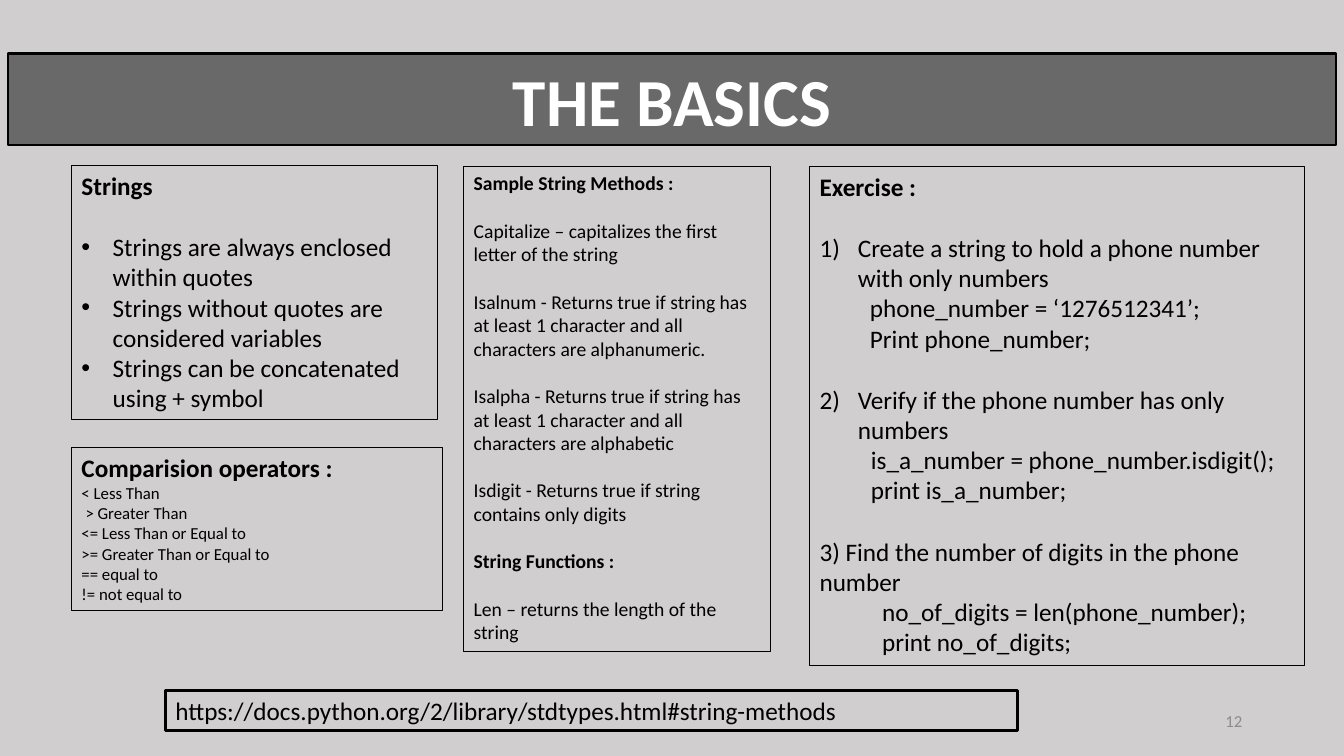
from lxml.etree import SubElement
from pptx import Presentation
from pptx.dml.color import RGBColor
from pptx.enum.shapes import MSO_SHAPE as Shape
from pptx.enum.text import MSO_ANCHOR as Anchor, MSO_AUTO_SIZE as AutoSize, PP_ALIGN as Align
from pptx.oxml.ns import qn
from pptx.util import Inches, Pt

COLORS = {"background": "D0CECE", "ink": "000000", "title": "FFFFFF", "number": "8C8C8C"}
FONT = "Calibri"
LINE_HEIGHT = 1.22


def color(name):
    return RGBColor.from_string(COLORS[name])


def write(frame, text, size=18, bold=False, ink="ink", align=Align.LEFT,
          gap=False, left=0, hanging=0, bullet=None, number=None):
    paragraph = frame.paragraphs[0]
    if paragraph.runs:
        paragraph = frame.add_paragraph()
    paragraph.alignment = align
    paragraph.space_before = Pt(round(size * LINE_HEIGHT)) if gap else Pt(0)
    run = paragraph.add_run()
    run.text = text
    run.font.name = FONT
    run.font.size = Pt(size)
    run.font.bold = bold
    run.font.color.rgb = color(ink)
    properties = paragraph._p.get_or_add_pPr()
    properties.set("marL", str(Inches(left)))
    properties.set("indent", str(Inches(-hanging)))
    if bullet:
        SubElement(properties, qn("a:buFont"), typeface="Arial")
        SubElement(properties, qn("a:buChar"), char=bullet)
    if number:
        SubElement(properties, qn("a:buFont"), typeface="+mj-lt")
        SubElement(properties, qn("a:buAutoNum"), type="arabicParenR", startAt=str(number))


def prepare(frame, anchor=Anchor.TOP):
    frame.word_wrap = True
    frame.auto_size = AutoSize.NONE
    frame.vertical_anchor = anchor


def add_box(slide, box, line_width=0.75):
    shape = slide.shapes.add_shape(Shape.RECTANGLE, *map(Inches, box))
    shape.shadow.inherit = False
    shape.fill.background()
    shape.line.color.rgb = color("ink")
    shape.line.width = Pt(line_width)
    prepare(shape.text_frame)
    return shape.text_frame


def add_title(slide, box, text):
    title = slide.shapes.title
    title.left, title.top, title.width, title.height = map(Inches, box)
    title.fill.solid()
    title.fill.fore_color.rgb = color("ink")
    fill_color = title.fill._xPr.find(qn("a:solidFill"))[0]
    SubElement(fill_color, qn("a:alpha"), val="49000")
    title.line.color.rgb = color("ink")
    title.line.width = Pt(1.75)
    prepare(title.text_frame, Anchor.MIDDLE)
    write(title.text_frame, text, size=48, bold=True, ink="title", align=Align.CENTER)


def add_strings(slide, box):
    frame = add_box(slide, box)
    write(frame, "Strings", bold=True)
    rules = ("Strings are always enclosed within quotes",
             "Strings without quotes are considered variables",
             "Strings can be concatenated using + symbol")
    for index, rule in enumerate(rules):
        write(frame, rule, gap=index == 0, left=0.31, hanging=0.31, bullet="•")


def add_operators(slide, box):
    frame = add_box(slide, box)
    write(frame, "Comparision operators :", bold=True)
    operators = ("< Less Than", "> Greater Than", "<= Less Than or Equal to",
                 ">= Greater Than or Equal to", "== equal to", "!= not equal to")
    for operator in operators:
        write(frame, operator, size=12, left=0.04 if operator.startswith("> ") else 0)


def add_methods(slide, box):
    frame = add_box(slide, box)
    sections = {
        "Sample String Methods :": (
            "Capitalize – capitalizes the first letter of the string",
            "Isalnum - Returns true if string has at least 1 character "
            "and all characters are alphanumeric.",
            "Isalpha - Returns true if string has at least 1 character "
            "and all characters are alphabetic",
            "Isdigit - Returns true if string contains only digits"),
        "String Functions :": ("Len – returns the length of the string",),
    }
    for index, (heading, entries) in enumerate(sections.items()):
        write(frame, heading, size=14, bold=True, gap=index > 0)
        for entry in entries:
            write(frame, entry, size=14, gap=True)


def add_exercise(slide, box):
    frame = add_box(slide, box)
    write(frame, "Exercise :", bold=True)
    numbered = {"left": 0.38, "hanging": 0.38}
    tasks = (
        ("Create a string to hold a phone number with only numbers", {**numbered, "number": 1},
         0.5, ("phone_number = ‘1276512341’;", "Print phone_number;")),
        ("Verify if the phone number has only numbers", {**numbered, "number": 2},
         0.51, ("is_a_number = phone_number.isdigit();", "print is_a_number;")),
        ("3) Find the number of digits in the phone number", {},
         0.62, ("no_of_digits = len(phone_number);", "print no_of_digits;")),
    )
    for task, layout, code_left, code in tasks:
        write(frame, task, gap=True, **layout)
        for line in code:
            write(frame, line, left=code_left)


def add_reference(slide, box):
    frame = add_box(slide, box, line_width=1.75)
    write(frame, "https://docs.python.org/2/library/stdtypes.html#string-methods")


def add_slide_number(slide, box, number):
    frame = slide.shapes.add_textbox(*map(Inches, box)).text_frame
    prepare(frame, Anchor.MIDDLE)
    write(frame, number, size=12, ink="number", align=Align.RIGHT)


def main():
    presentation = Presentation()
    presentation.slide_width = Inches(13.33)
    presentation.slide_height = Inches(7.5)
    slide = presentation.slides.add_slide(presentation.slide_layouts.get_by_name("Title Only"))
    slide.background.fill.solid()
    slide.background.fill.fore_color.rgb = color("background")
    add_title(slide, (0.08, 0.53, 13.17, 0.91), "THE BASICS")
    add_strings(slide, (0.71, 1.64, 3.63, 2.52))
    add_operators(slide, (0.71, 4.44, 3.68, 1.62))
    add_methods(slide, (4.6, 1.65, 3.04, 4.81))
    add_exercise(slide, (8.03, 1.65, 4.91, 4.95))
    add_reference(slide, (1.64, 6.85, 8.45, 0.4))
    add_slide_number(slide, (9.42, 6.95, 3, 0.4), "12")
    presentation.save("out.pptx")


if __name__ == "__main__":
    main()
